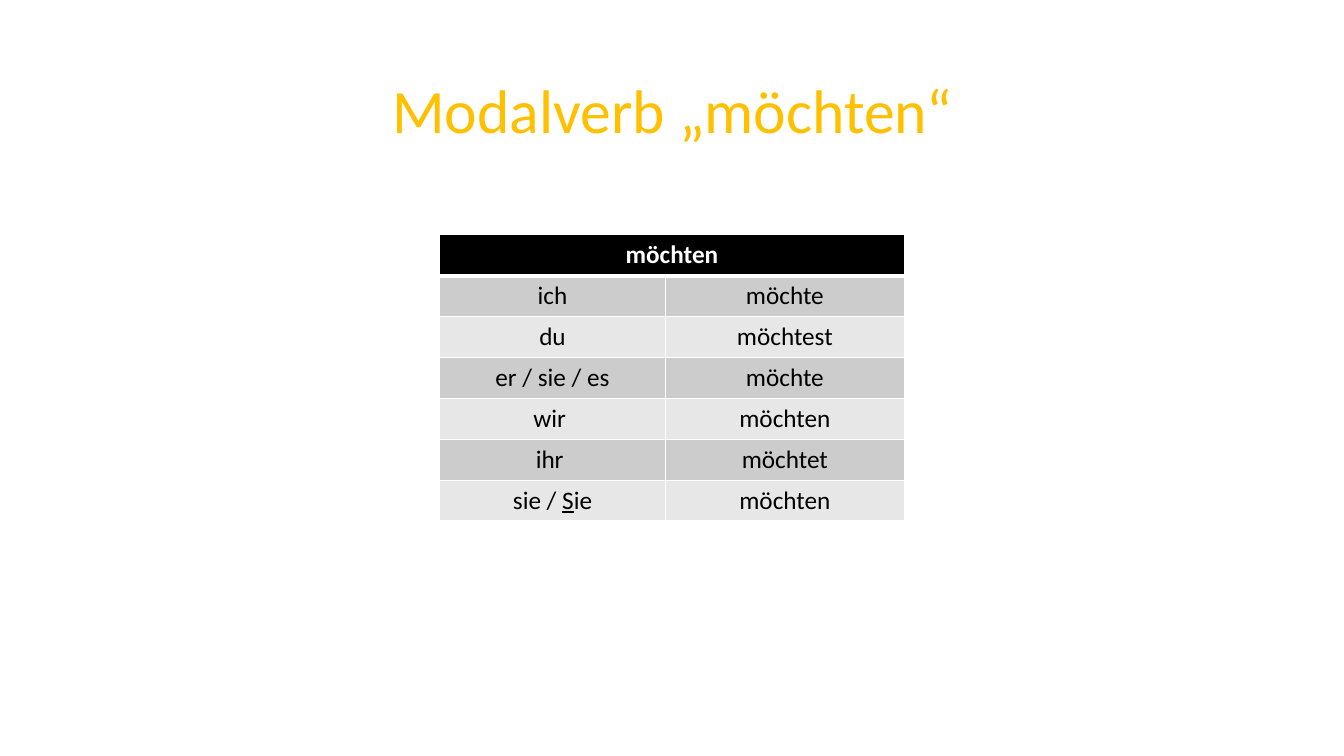
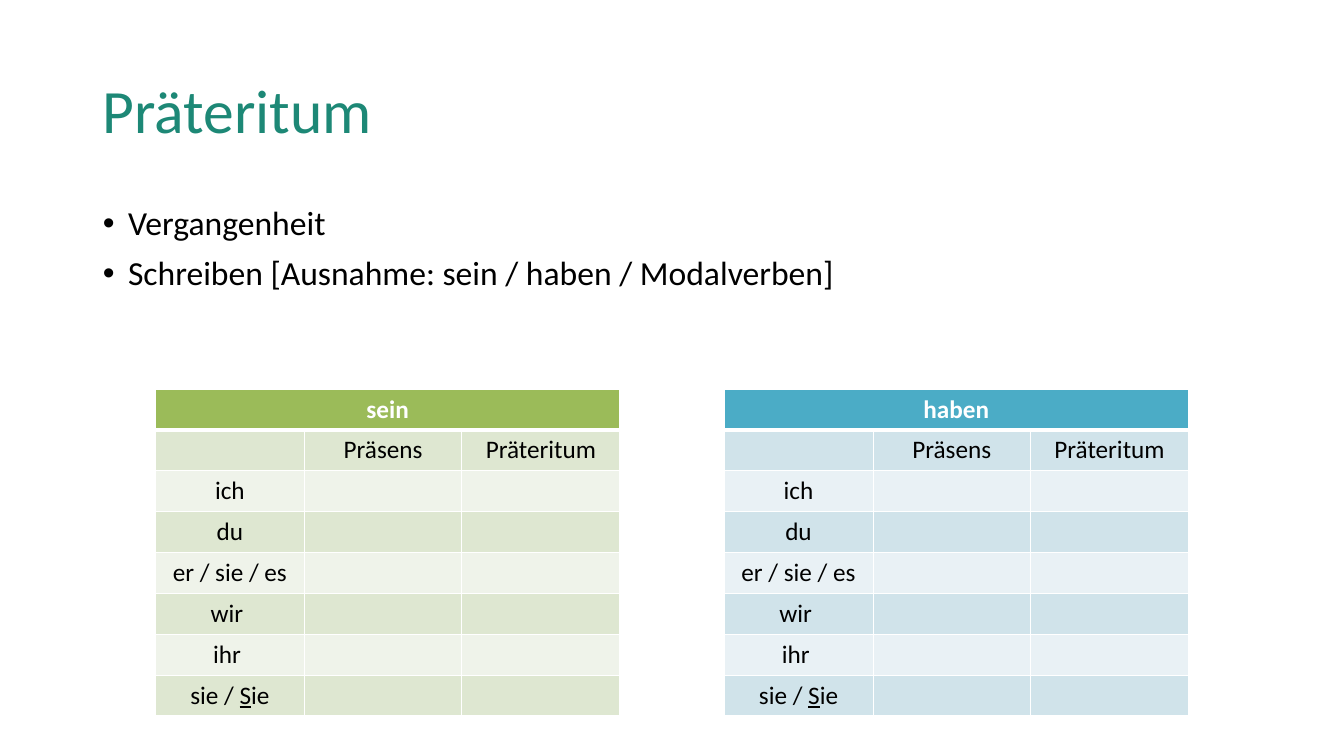
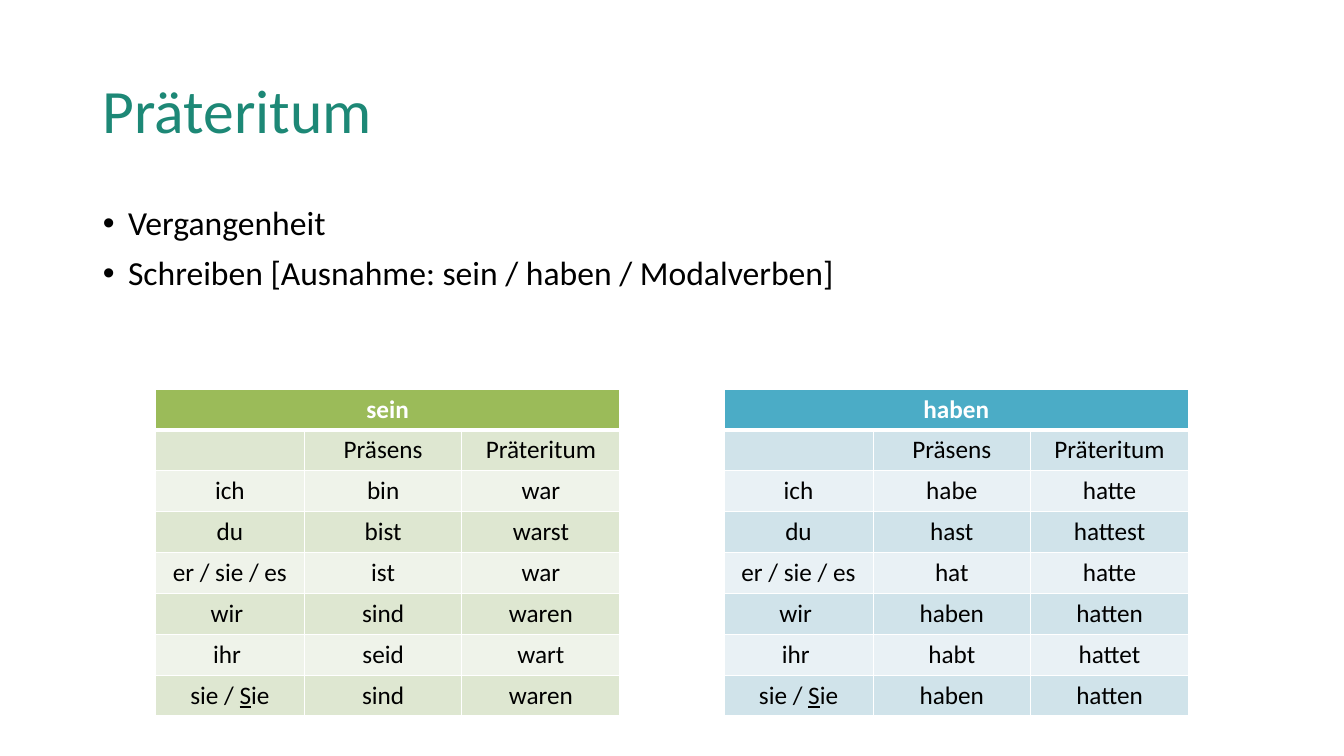
from lxml import etree
from pptx import Presentation
from pptx.dml.color import RGBColor
from pptx.enum.text import MSO_ANCHOR, MSO_AUTO_SIZE, PP_ALIGN
from pptx.oxml.ns import qn
from pptx.util import Pt

LEFT, CENTER = PP_ALIGN.LEFT, PP_ALIGN.CENTER
MIDDLE, TOP = MSO_ANCHOR.MIDDLE, MSO_ANCHOR.TOP
NO_AUTOFIT = MSO_AUTO_SIZE.NONE
PX = 9144
SLIDE_W, SLIDE_H = 1333, 750
MARGIN, TEXT_W, TEXT_H = 92, 1150, 145
TITLE_Y, BODY_Y = 40, 200
TABLE_W = 461
INDENT = 25


class Theme:
    font = "Calibri"
    title_size, body_size, table_size = Pt(44), Pt(24), Pt(18)
    text, white = "000000", "FFFFFF"
    yellow, teal = "FFC000", "1D8876"
    black_table = ("000000", "CCCCCC", "E7E7E7")
    green_table = ("9BBB59", "DEE7D1", "EFF3EA")
    blue_table = ("4BACC6", "D0E3EA", "E9F1F5")
    border, header_border = Pt(1), Pt(3)


def fill_text(shape, top, lines, size, color, align, anchor):
    shape.left, shape.top = MARGIN * PX, top * PX
    shape.width, shape.height = TEXT_W * PX, TEXT_H * PX
    tf = shape.text_frame
    tf.text = "\n".join(lines)
    tf.auto_size, tf.vertical_anchor = NO_AUTOFIT, anchor
    for p in tf.paragraphs:
        p.alignment, p.line_spacing = align, 0.9
        p.font.name, p.font.size = Theme.font, size
        p.font.color.rgb = RGBColor.from_string(color)
    return tf.paragraphs


def add_verb_table(s, left, top, height, widths, colors, verb, rows):
    table = s.shapes.add_table(len(rows) + 1, len(widths), left * PX, top * PX,
                               TABLE_W * PX, height * PX).table
    for column, width in zip(table.columns, widths):
        column.width = width * PX
    header = [verb] + [""] * (len(widths) - 1)
    for i, row in enumerate([header] + rows):
        fill = colors[0] if i == 0 else colors[2 - i % 2]
        for j, text in enumerate(row):
            cell = table.cell(i, j)
            tcPr = cell._tc.get_or_add_tcPr()
            for side in "LRTB":
                thick = (i, side) in ((0, "B"), (1, "T"))
                width = Theme.header_border if thick else Theme.border
                ln = etree.SubElement(tcPr, qn("a:ln" + side), w=str(width))
                solid = etree.SubElement(ln, qn("a:solidFill"))
                etree.SubElement(solid, qn("a:srgbClr"), val=Theme.white)
            cell.fill.solid()
            cell.fill.fore_color.rgb = RGBColor.from_string(fill)
            p = cell.text_frame.paragraphs[0]
            p.alignment = CENTER
            p.font.name, p.font.size = Theme.font, Theme.table_size
            p.font.bold = i == 0
            p.font.color.rgb = RGBColor.from_string(Theme.text if i else Theme.white)
            if text:
                for k, part in enumerate(text.split("_")):
                    r = p.add_run()
                    r.text = part
                    if k % 2:
                        r.font.underline = True
    table.cell(0, 0).merge(table.cell(0, len(widths) - 1))


pronouns = ["ich", "du", "er / sie / es", "wir ", "ihr ", "sie / _S_ie"]
moechten = ["möchte", "möchtest", "möchte", "möchten", "möchtet", "möchten"]
bullets = ["Vergangenheit", "Schreiben [Ausnahme: sein / haben / Modalverben]"]
past_verbs = [
    ("sein", 154, Theme.green_table,
     ["bin", "bist", "ist", "sind", "seid", "sind"],
     ["war", "warst", "war", "waren", "wart", "waren"]),
    ("haben", SLIDE_W - 154 - TABLE_W, Theme.blue_table,
     ["habe", "hast", "hat", "haben", "habt", "haben"],
     ["hatte", "hattest", "hatte", "hatten", "hattet", "hatten"]),
]

prs = Presentation()
prs.slide_width, prs.slide_height = SLIDE_W * PX, SLIDE_H * PX
content_layout, title_only = prs.slide_layouts[1], prs.slide_layouts[5]

s = prs.slides.add_slide(title_only)
fill_text(s.shapes.title, TITLE_Y, ["Modalverb „möchten“"], Theme.title_size,
          Theme.yellow, CENTER, MIDDLE)
add_verb_table(s, (SLIDE_W - TABLE_W) // 2, 233, 284, [224, 237], Theme.black_table,
               "möchten", list(zip(pronouns, moechten)))

for solved in (False, True):
    s = prs.slides.add_slide(content_layout)
    fill_text(s.shapes.title, TITLE_Y, ["Präteritum"], Theme.title_size,
              Theme.teal, LEFT, MIDDLE)
    for p in fill_text(s.placeholders[1], BODY_Y, bullets, Theme.body_size,
                       Theme.text, LEFT, TOP):
        p.space_before = Pt(10)
        pPr = p._p.get_or_add_pPr()
        pPr.set("marL", str(INDENT * PX))
        pPr.set("indent", str(-INDENT * PX))
    for verb, left, colors, present, past in past_verbs:
        forms = zip(present, past) if solved else [("", "")] * len(pronouns)
        rows = [("", "Präsens", "Präteritum")]
        rows += [(pronoun, *pair) for pronoun, pair in zip(pronouns, forms)]
        add_verb_table(s, left, 386, 324, [148, 156, 157], colors, verb, rows)

prs.save("out.pptx")
